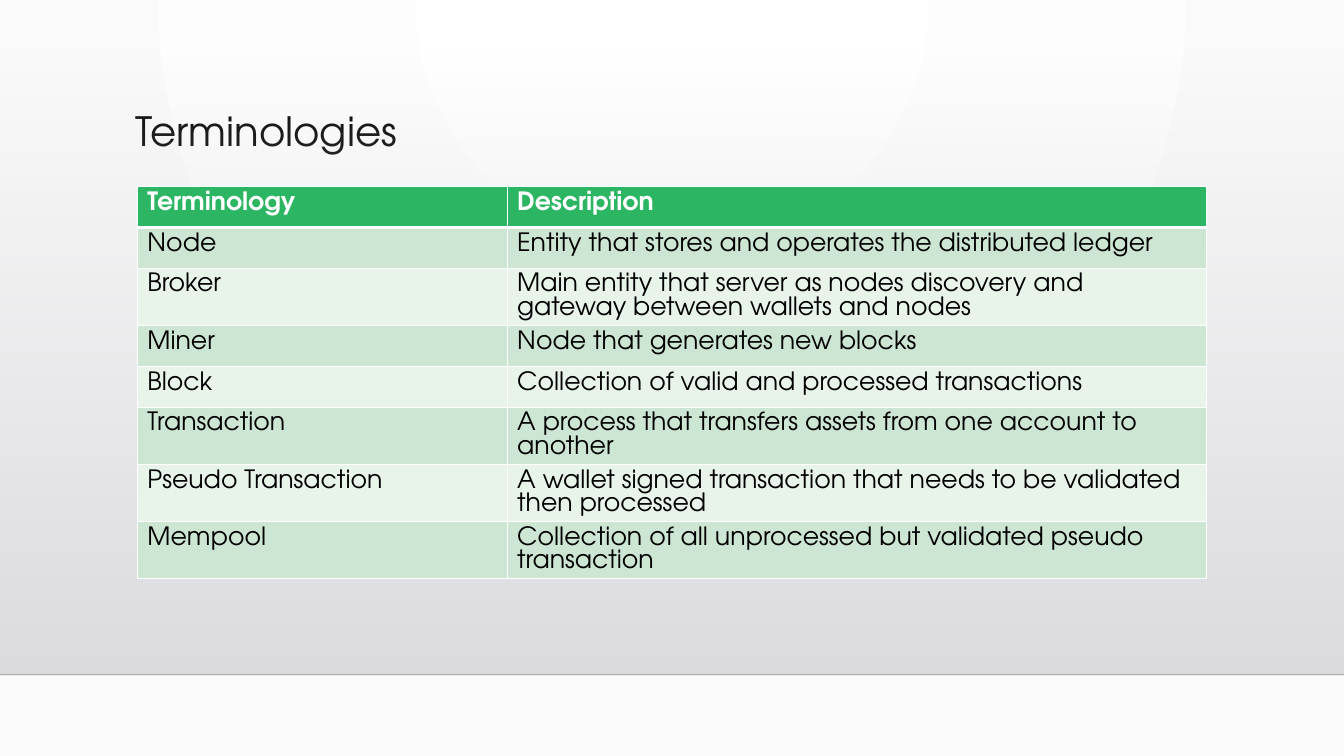
from dataclasses import dataclass

from lxml import etree
from pptx import Presentation
from pptx.dml.color import RGBColor
from pptx.enum.shapes import MSO_CONNECTOR, MSO_SHAPE
from pptx.enum.text import MSO_ANCHOR, PP_ALIGN
from pptx.oxml import parse_xml
from pptx.oxml.ns import qn
from pptx.util import Cm, Pt

RECTANGLE = MSO_SHAPE.RECTANGLE
STRAIGHT = MSO_CONNECTOR.STRAIGHT
MIDDLE = MSO_ANCHOR.MIDDLE
LEFT = PP_ALIGN.LEFT
NAMESPACE = "http://schemas.openxmlformats.org/drawingml/2006/main"
TITLE_ONLY_LAYOUT = 5
SLIDE_WIDTH, SLIDE_HEIGHT = 33.87, 19.05
FLOOR_TOP = 17.0

TERMS = [
    ("Terminology", "Description"),
    ("Node", "Entity that stores and operates the distributed ledger"),
    ("Broker", "Main entity that server as nodes discovery and gateway between wallets and nodes"),
    ("Miner", "Node that generates new blocks"),
    ("Block", "Collection of valid and processed transactions"),
    ("Transaction", "A process that transfers assets from one account to another"),
    ("Pseudo Transaction", "A wallet signed transaction that needs to be validated then processed"),
    ("Mempool", "Collection of all unprocessed but validated pseudo transaction"),
]


@dataclass(frozen=True)
class Theme:
    """Colours, font and type sizes of the deck."""
    font: str = "TeX Gyre Adventor"
    title_size: float = 28.8
    table_size: float = 18
    text: str = "000000"
    white: str = "FFFFFF"
    paper: str = "FAFAFA"
    shade_top: str = "DCDCE0"
    shade_bottom: str = "DEDEE2"
    header: str = "2CB663"
    bands: tuple = ("CDE5D3", "E8F3EA")


def write_text(frame, text, *, font, size, color, bold=False, spacing=None):
    """Write one formatted, left-aligned paragraph into a text frame."""
    paragraph = frame.paragraphs[0]
    paragraph.alignment = LEFT
    if spacing:
        paragraph.line_spacing = spacing
    run = paragraph.add_run()
    run.text = text
    run.font.name = font
    run.font.size = Pt(size)
    run.font.bold = bold
    run.font.color.rgb = RGBColor.from_string(color)


def set_alpha(parent, percent):
    """Set the opacity of the first colour found under an element."""
    color = next(parent.iter(qn("a:srgbClr")))
    etree.SubElement(color, qn("a:alpha"), val=str(percent * 1000))


def set_border(cell, side, color, width):
    """Draw one side of a table cell."""
    border = parse_xml(
        f'<a:{side} xmlns:a="{NAMESPACE}" w="{Pt(width)}"><a:solidFill>'
        f'<a:srgbClr val="{color}"/></a:solidFill></a:{side}>'
    )
    properties = cell._tc.get_or_add_tcPr()
    position = sum(child.tag.startswith(qn("a:ln")) for child in properties)
    properties.insert(position, border)


class SlideBuilder:
    """Holds the theme and the slide being built."""

    def __init__(self, slide, theme):
        """Keep the slide and its theme."""
        self.slide = slide
        self.theme = theme

    def set_gradient(self, fill, start, end):
        """Give a fill a two-colour gradient."""
        fill.gradient()
        for stop, color in zip(fill.gradient_stops, (start, end)):
            stop.color.rgb = RGBColor.from_string(color)

    def add_background(self):
        """Set the round glow that spreads from the top centre."""
        fill = self.slide.background.fill
        self.set_gradient(fill, self.theme.white, self.theme.paper)
        linear = next(self.slide.element.iter(qn("a:lin")))
        glow = parse_xml(
            f'<a:path xmlns:a="{NAMESPACE}" path="circle">'
            '<a:fillToRect l="43000" t="0" r="43000" b="100000"/></a:path>'
        )
        linear.getparent().replace(linear, glow)

    def add_shade(self, top, bottom):
        """Add the full-width shade that fades out towards its top."""
        shape = self.slide.shapes.add_shape(
            RECTANGLE, 0, Cm(top), Cm(SLIDE_WIDTH), Cm(bottom - top))
        shape.shadow.inherit = False
        shape.line.fill.background()
        self.set_gradient(shape.fill, self.theme.shade_top, self.theme.shade_bottom)
        shape.fill.gradient_angle = 270
        set_alpha(shape._element.spPr, 0)

    def add_rule(self, top):
        """Add the faint full-width line at the floor."""
        rule = self.slide.shapes.add_connector(
            STRAIGHT, 0, Cm(top), Cm(SLIDE_WIDTH), Cm(top))
        rule.line.width = Pt(1)
        rule.line.color.rgb = RGBColor.from_string(self.theme.text)
        set_alpha(rule._element.spPr, 20)
        etree.SubElement(rule._element.spPr, qn("a:effectLst"))

    def add_title(self, text, left, top, width, height):
        """Place and fill the title placeholder."""
        title = self.slide.shapes.title
        title.left, title.top, title.width, title.height = map(Cm, (left, top, width, height))
        title.text_frame.vertical_anchor = MIDDLE
        title.text_frame.word_wrap = True
        write_text(title.text_frame, text, font=self.theme.font,
                   size=self.theme.title_size, color=self.theme.text, spacing=0.9)

    def add_table(self, rows, left, top, column_widths, row_height):
        """Add a table with a header row and banded body rows."""
        theme = self.theme
        table = self.slide.shapes.add_table(
            len(rows), len(column_widths), Cm(left), Cm(top),
            Cm(sum(column_widths)), Cm(row_height * len(rows))).table
        for column, width in zip(table.columns, column_widths):
            column.width = Cm(width)
        for row_index, row in enumerate(rows):
            is_header = row_index == 0
            fill = theme.header if is_header else theme.bands[(row_index - 1) % 2]
            for column_index, text in enumerate(row):
                cell = table.cell(row_index, column_index)
                cell.fill.solid()
                cell.fill.fore_color.rgb = RGBColor.from_string(fill)
                for side in ("lnL", "lnR", "lnT", "lnB"):
                    below_header = (is_header and side == "lnB") or (row_index == 1 and side == "lnT")
                    set_border(cell, side, theme.white, 3 if below_header else 1)
                write_text(cell.text_frame, text, font=theme.font, size=theme.table_size,
                           color=theme.white if is_header else theme.text, bold=is_header)


def main():
    """Build the terminology slide and save it."""
    presentation = Presentation()
    presentation.slide_width = Cm(SLIDE_WIDTH)
    presentation.slide_height = Cm(SLIDE_HEIGHT)
    slide = presentation.slides.add_slide(presentation.slide_layouts[TITLE_ONLY_LAYOUT])
    builder = SlideBuilder(slide, Theme())
    builder.add_background()
    builder.add_shade(1.3, FLOOR_TOP)
    builder.add_rule(FLOOR_TOP)
    builder.add_title("Terminologies", 3.15, 2.64, 26.67, 1.45)
    builder.add_table(TERMS, 3.46, 4.7, (9.32, 17.62), 1.03)
    presentation.save("out.pptx")


if __name__ == "__main__":
    main()
